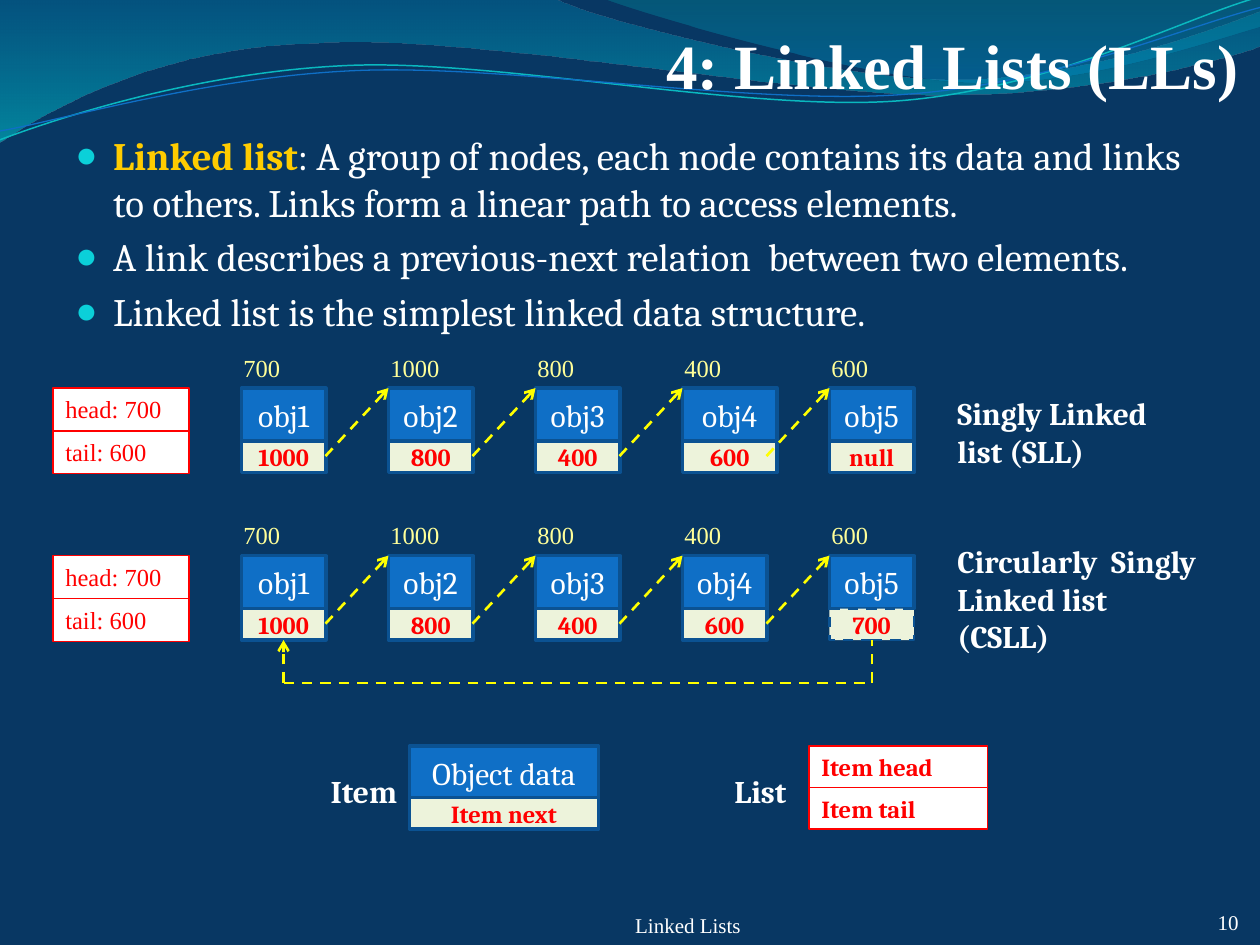
from math import cos, radians, sin

from lxml import etree
from pptx import Presentation
from pptx.dml.color import RGBColor
from pptx.enum.dml import MSO_LINE
from pptx.enum.shapes import MSO_CONNECTOR, MSO_SHAPE
from pptx.enum.text import MSO_ANCHOR, PP_ALIGN
from pptx.oxml.ns import qn
from pptx.util import Inches, Pt

RECT, STRAIGHT, DASH = MSO_SHAPE.RECTANGLE, MSO_CONNECTOR.STRAIGHT, MSO_LINE.DASH
TOP, MIDDLE, BOTTOM = MSO_ANCHOR.TOP, MSO_ANCHOR.MIDDLE, MSO_ANCHOR.BOTTOM
LEFT, CENTER, RIGHT = PP_ALIGN.LEFT, PP_ALIGN.CENTER, PP_ALIGN.RIGHT

NAVY = RGBColor(0x08, 0x37, 0x63)
WHITE = RGBColor(0xFF, 0xFF, 0xFF)
GOLD = RGBColor(0xFF, 0xCC, 0x00)
YELLOW = RGBColor(0xFF, 0xFF, 0x00)
PALE = RGBColor(0xFF, 0xFF, 0x99)
RED = RGBColor(0xFF, 0x00, 0x00)
BLUE = RGBColor(0x0F, 0x6F, 0xC6)
EDGE = RGBColor(0x0B, 0x52, 0x92)
CREAM = RGBColor(0xED, 0xF3, 0xDB)
AQUA = RGBColor(0x0A, 0xB8, 0xBF)
WAVE_A = RGBColor(0x00, 0x74, 0xA1)
WAVE_B = RGBColor(0x00, 0xC6, 0xCF)
WAVE_C = RGBColor(0x00, 0xA1, 0xA9)
WAVE_D = RGBColor(0x00, 0x8B, 0xBF)

SERIF, TIMES = "Cambria", "Times New Roman"
TITLE = dict(name=TIMES, size=Pt(36), bold=True)
BODY = dict(name=SERIF, size=Pt(22.2), bold=False)
TERM = dict(name=SERIF, size=Pt(22.2), bold=True)
DATA = dict(name=SERIF, size=Pt(18), bold=False)
LABEL = dict(name=SERIF, size=Pt(18), bold=True)
LINK = dict(name=SERIF, size=Pt(14), bold=True)
PLAIN = dict(name=TIMES, size=Pt(14), bold=False)
SMALL = dict(name=TIMES, size=Pt(12), bold=False)

prs = Presentation()
prs.slide_width, prs.slide_height = Inches(10), Inches(7.5)
slide = prs.slides.add_slide(prs.slide_layouts[6])
slide.background.fill.solid()
slide.background.fill.fore_color.rgb = NAVY
shapes = slide.shapes


def write(para, words, style, color):
    run = para.add_run()
    run.text = words
    for key, value in style.items():
        setattr(run.font, key, value)
    run.font.color.rgb = color


def box(x, y, w, h, words, style, color, align=LEFT, anchor=TOP,
        fill=None, line=None, width=2, pad=(0.1, 0.05, 0.1, 0.05)):
    place = [Inches(v) for v in (x, y, w, h)]
    if fill is None:
        shape = shapes.add_textbox(*place)
    else:
        shape = shapes.add_shape(RECT, *place)
        shape.shadow.inherit = False
        shape.fill.solid()
        shape.fill.fore_color.rgb = fill
        shape.line.color.rgb = line
        shape.line.width = Pt(width)
    frame = shape.text_frame
    frame.word_wrap = True
    frame.vertical_anchor = anchor
    for side, gap in zip(("left", "top", "right", "bottom"), pad):
        setattr(frame, "margin_" + side, Inches(gap))
    para = frame.paragraphs[0]
    para.alignment = align
    if words:
        write(para, words, style, color)
    return shape


# Waves: start point, then cubic curves (6 numbers) and straight lines (2);
# gradient stops, or the colour, width and centre of a tilted stroke
TILT = 2.7
waves = [
    ([(0, 0), (4.4, -0.01), (4.76, 0.17, 6.64, 0.63, 7.58, 0.63),
      (8.53, 0.63, 9.58, 0.26, 10, 0.09), (10.01, 0.36),
      (9.83, 0.44, 8.7, 0.76, 7.46, 0.75), (6.22, 0.75, 3.82, 0.28, 2.57, 0.34),
      (1.29, 0.36, 0.46, 0.83, -0.01, 1.13), (0, 0)],
     [(0, WAVE_A, 45), (1, WAVE_B, 55)], None),
    ([(4.79, -0.01), (5.09, 0.11, 6.82, 0.62, 7.69, 0.65),
      (8.56, 0.69, 9.61, 0.32, 10, 0.21), (10, 0), (4.79, -0.01)],
     [(0, WAVE_C, 30), (0.8, WAVE_D, 45)], None),
    ([(0, 1.11), (0.48, 0.93, 1.58, 0.57, 2.77, 0.52),
      (3.95, 0.47, 5.93, 0.89, 7.13, 0.8), (8.33, 0.71, 9.38, 0.15, 9.98, -0.02)],
     None, (AQUA, 0.85, 4.99, 0.57)),
    ([(0, 1.04), (0.47, 0.96, 1.64, 0.61, 2.83, 0.56),
      (4.03, 0.51, 5.97, 0.84, 7.17, 0.75), (8.36, 0.67, 9.41, 0.21, 10, 0.06)],
     None, (BLUE, 0.75, 5, 0.59)),
]
for parts, stops, stroke in waves:
    dots = [part[k:k + 2] for part in parts for k in range(0, len(part), 2)]
    if stroke:
        color, width, mx, my = stroke
        c, s = cos(radians(TILT)), sin(radians(TILT))
        dots = [(mx + (x - mx) * c - (y - my) * s, my + (x - mx) * s + (y - my) * c)
                for x, y in dots]
    dots = [(round(x * 1000), round(y * 1000)) for x, y in dots]
    pen = shapes.build_freeform(*dots[0], scale=Inches(1) / 1000)
    pen.add_line_segments(dots[1:], close=stops is not None)
    wave = pen.convert_to_shape()
    wave.shadow.inherit = False
    # Join each three points of a curve into one cubic segment
    steps = iter(list(wave._element.spPr.iter(qn("a:lnTo"))))
    for part in parts[1:]:
        step = next(steps)
        if len(part) == 6:
            step.tag = qn("a:cubicBezTo")
            for _ in range(2):
                extra = next(steps)
                step.append(extra[0])
                extra.getparent().remove(extra)
    if stops:
        wave.line.fill.background()
        wave.fill.gradient()
        wave.fill.gradient_angle = 270
        for stop, (pos, color, _) in zip(wave.fill.gradient_stops, stops):
            stop.position = pos
            stop.color.rgb = color
        tints = wave._element.spPr.iter(qn("a:srgbClr"))
        for tint, (_, _, alpha) in zip(list(tints), stops):
            etree.SubElement(tint, qn("a:alpha"), val=str(alpha * 1000))
    else:
        wave.rotation = 360 - TILT
        wave.fill.background()
        wave.line.color.rgb = color
        wave.line.width = Pt(width)

# Title and bullets
box(0.5, 0.08, 9.33, 0.73, "4: Linked Lists (LLs)", TITLE, WHITE, RIGHT, BOTTOM,
    pad=(0, 0.05, 0, 0))
frame = box(0.5, 1, 9, 1.5, "", BODY, WHITE).text_frame
points = [
    [("Linked list", TERM, GOLD),
     (": A group of nodes, each node contains its data and links to others. "
      "Links form a linear path to access elements.", BODY, WHITE)],
    [("A link describes a previous-next relation  between two elements.", BODY, WHITE)],
    [("Linked list is the simplest linked data structure.", BODY, WHITE)],
]
for i, runs in enumerate(points):
    para = frame.add_paragraph() if i else frame.paragraphs[0]
    para.space_before = Pt(4.4)
    for run in runs:
        write(para, *run)
    props = para._p.get_or_add_pPr()
    props.set("marL", str(Inches(0.3)))
    props.set("indent", str(Inches(-0.3)))
    tint = etree.SubElement(props, qn("a:buClr"))
    etree.SubElement(tint, qn("a:srgbClr"), val="0BD0D9")
    etree.SubElement(props, qn("a:buSzPct"), val="95000")
    etree.SubElement(props, qn("a:buFont"), typeface=TIMES)
    etree.SubElement(props, qn("a:buChar"), char="●")

# Two list diagrams: top, last link, width of the fourth node
spots = ["700", "1000", "800", "400", "600"]
for top, last, wide in [(3.08, "null", 0.75), (4.41, "700", 0.67)]:
    for i, (spot, link) in enumerate(zip(spots, spots[1:] + [last])):
        x = (23 + 14 * i) / 12
        w = wide if i == 3 else 0.67
        box(x, top, w, 0.42, f"obj{i + 1}", DATA, WHITE, CENTER, MIDDLE, BLUE, EDGE)
        cell = box(x, top + 0.42, w, 0.25, link, LINK, RED, CENTER, MIDDLE, CREAM, EDGE)
        box(x - 1 / 12, top - 0.33, 0.67 if i else 0.5, 0.34, spot, PLAIN, PALE)
    if last == "700":
        cell.line.width = Pt(1.5)
        cell.line.dash_style = DASH
    for i, words in enumerate(["head: 700", "tail: 600"]):
        box(0.42, top + i * 0.34, 1.08, 0.34, words, PLAIN, RED, fill=WHITE, line=RED, width=0.75)

# Dashed links: from, to, arrowhead
links = [((31 + 14 * i) / 12, top + 0.54, (37 + 14 * i) / 12, top, True)
         for top in (3.08, 4.41) for i in range(4)]
links += [(2.25, 5.42, 2.25, 5.08, True), (2.25, 5.42, 6.92, 5.42, False),
          (6.92, 5.42, 6.92, 5.08, False)]
for *ends, head in links:
    link = shapes.add_connector(STRAIGHT, *[Inches(v) for v in ends])
    link.line.color.rgb = YELLOW
    link.line.width = Pt(1.5)
    link.line.dash_style = DASH
    if head:
        etree.SubElement(link.line._get_or_add_ln(), qn("a:tailEnd"), type="arrow")
    etree.SubElement(link._element.spPr, qn("a:effectLst"))

# Diagram names
box(7.5, 3.08, 1.92, 0.71, "Singly Linked list (SLL)", LABEL, WHITE)
box(7.5, 4.25, 2.15, 1.01, "Circularly  Singly Linked list (CSLL)", LABEL, WHITE)

# Legend
box(2.33, 6.08, 0.92, 0.4, "Item", LABEL, WHITE, RIGHT)
box(3.25, 5.92, 1.5, 0.42, "Object data", DATA, WHITE, CENTER, MIDDLE, BLUE, EDGE)
box(3.25, 6.33, 1.5, 0.25, "Item next", LINK, RED, CENTER, MIDDLE, CREAM, EDGE)
box(5.42, 6.08, 0.92, 0.4, "List", LABEL, WHITE, RIGHT)
for i, words in enumerate(["Item head", "Item tail"]):
    box(6.42, 5.92 + i * 0.33, 1.42, 0.33, words, LINK, RED, fill=WHITE, line=RED, width=0.75)

# Footer
box(9.25, 7.17, 0.58, 0.25, "10", SMALL, WHITE, RIGHT, BOTTOM, pad=(0, 0, 0, 0))
box(3.92, 7.17, 3.08, 0.27, "Linked Lists", SMALL, WHITE, CENTER, BOTTOM, pad=(0, 0, 0, 0))

prs.save("out.pptx")
